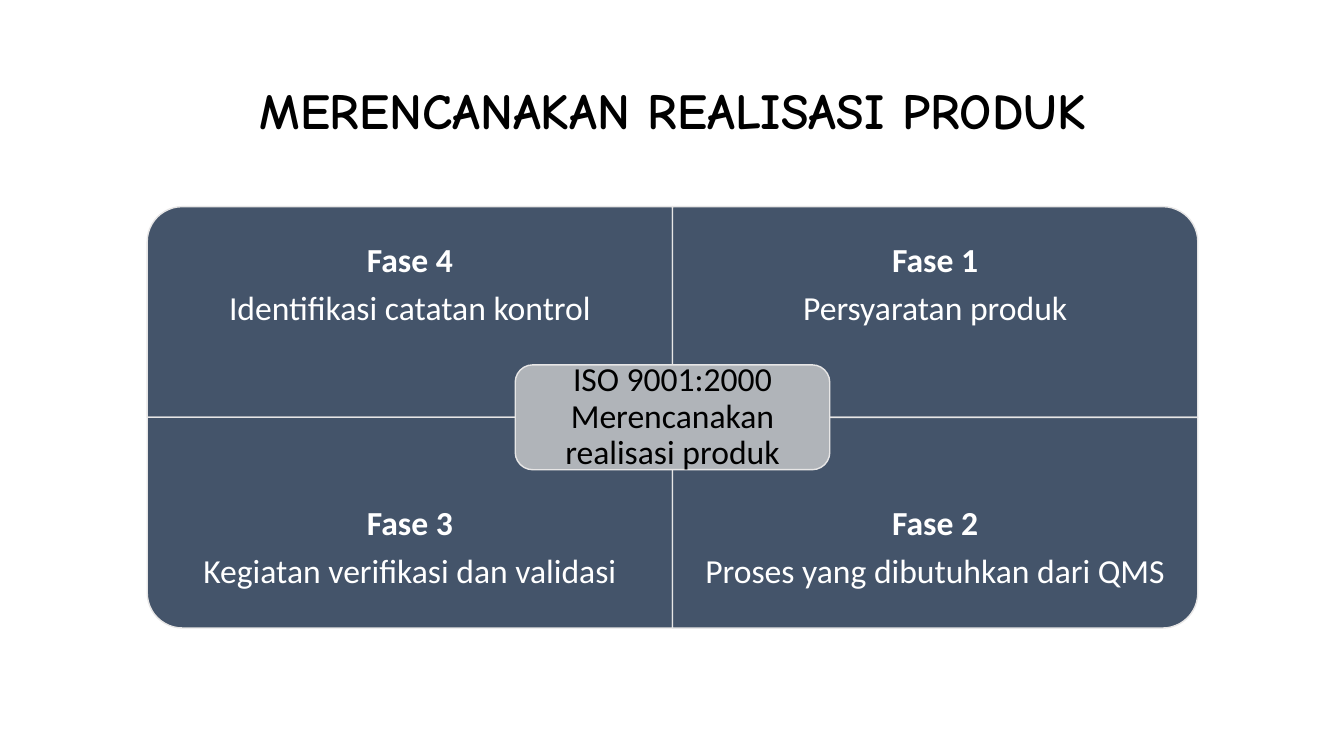
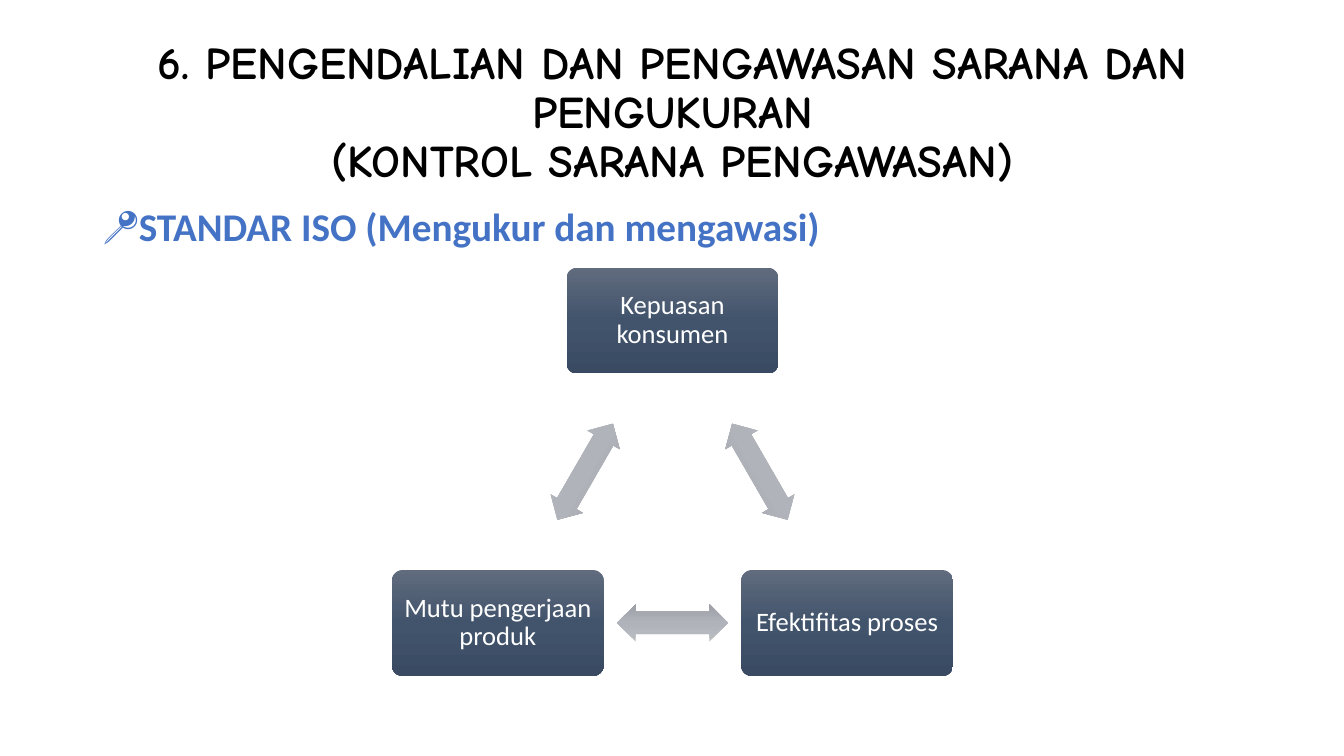
"""Build two slides on planning and controlling product realisation under ISO."""
from copy import deepcopy
from math import cos, radians, sin

from lxml.etree import SubElement
from pptx import Presentation
from pptx.dml.color import RGBColor
from pptx.enum.shapes import MSO_SHAPE as Shape
from pptx.enum.text import MSO_ANCHOR as Anchor, MSO_AUTO_SIZE as AutoSize, PP_ALIGN as Align
from pptx.oxml.ns import qn
from pptx.util import Inches, Pt

PHASE_TITLE = ["MERENCANAKAN REALISASI PRODUK"]
PHASES = [
    ("Fase 4", "Identifikasi catatan kontrol", 0, 0, 270),
    ("Fase 1", "Persyaratan produk", 1, 0, 0),
    ("Fase 3", "Kegiatan verifikasi dan validasi", 0, 1, 180),
    ("Fase 2", "Proses yang dibutuhkan dari QMS", 1, 1, 90),
]
PHASE_CENTER = "ISO 9001:2000 Merencanakan realisasi produk"
CONTROL_TITLE = [
    "6. PENGENDALIAN DAN PENGAWASAN SARANA DAN PENGUKURAN",
    "(KONTROL SARANA PENGAWASAN)",
]
CONTROL_BULLET = "STANDAR ISO (Mengukur dan mengawasi)"
CONTROL_NODES = ["Kepuasan konsumen", "Efektifitas proses", "Mutu pengerjaan produk"]

NAVY, GREY, PALE = "44546A", "B0B4B9", "E7E6E6"
BLACK, WHITE, BLUE = "000000", "FFFFFF", "4472C4"
NODE_GRADIENT = ["606B7D", "42546C", "394A62"]
ARROW_GRADIENT = ["BABDC2", "B0B3BA", "9C9FA6"]
TITLE_FONT, BODY_FONT = "Comic Neue", "Calibri"
MIDDLE_X = 6.67


def color(value):
    return RGBColor.from_string(value)


def place(shape, left, top, width, height):
    box = {"left": left, "top": top, "width": width, "height": height}
    for name, value in box.items():
        setattr(shape, name, Inches(value))


def write(shape, lines, size, ink, bold=(), font=BODY_FONT, inset=None,
          align=Align.CENTER, anchor=Anchor.MIDDLE, before=0, after=0):
    frame = shape.text_frame
    frame_format = {"word_wrap": True, "auto_size": AutoSize.NONE, "vertical_anchor": anchor}
    if inset is not None:
        for side in ("left", "right", "top", "bottom"):
            frame_format[f"margin_{side}"] = Inches(inset)
    for name, value in frame_format.items():
        setattr(frame, name, value)
    frame.text = "\n".join(lines)
    paragraph_format = {"alignment": align, "line_spacing": 0.9,
                        "space_before": Pt(before), "space_after": Pt(after)}
    for index, paragraph in enumerate(frame.paragraphs):
        for name, value in paragraph_format.items():
            setattr(paragraph, name, value)
        run_font = paragraph.runs[0].font
        font_format = {"name": font, "size": Pt(size), "bold": index in bold}
        for name, value in font_format.items():
            setattr(run_font, name, value)
        run_font.color.rgb = color(ink)


def add_centered(slide, kind, center, size, fill, line=None, rotation=0, adjustments=()):
    (x, y), (width, height) = center, size
    box = (x - width / 2, y - height / 2, width, height)
    shape = slide.shapes.add_shape(kind, *map(Inches, box))
    shape.shadow.inherit = False
    shape.rotation = rotation
    for index, value in enumerate(adjustments):
        shape.adjustments[index] = value
    if isinstance(fill, str):
        shape.fill.solid()
        shape.fill.fore_color.rgb = color(fill)
    else:
        paint_gradient(shape, fill)
    if line:
        shape.line.color.rgb = color(line)
        shape.line.width = Pt(1)
    else:
        shape.line.fill.background()
    return shape


def paint_gradient(shape, stops):
    shape.fill.gradient()
    shape.fill.gradient_angle = 270
    stop_list = next(shape._element.spPr.iter(qn("a:gsLst")))
    stop_list.append(deepcopy(stop_list[0]))
    for index, (stop, value) in enumerate(zip(shape.fill.gradient_stops, stops)):
        stop.position = index / (len(stops) - 1)
        stop.color.rgb = color(value)


def add_titled_slide(presentation, layout, lines, size):
    slide = presentation.slides.add_slide(presentation.slide_layouts[layout])
    title = slide.shapes.title
    place(title, 0.92, 0.4, 11.5, 1.45)
    write(title, lines, size, BLACK, bold=range(len(lines)), font=TITLE_FONT)
    return slide


def build_phases(presentation):
    slide = add_titled_slide(presentation, 5, PHASE_TITLE, 36)
    width, height, top = 5.21, 2.09, 2.05
    left = MIDDLE_X - width
    for name, detail, column, row, rotation in PHASES:
        center = (left + (column + 0.5) * width, top + (row + 0.5) * height)
        size = (height, width) if rotation % 180 else (width, height)
        add_centered(slide, Shape.ROUND_1_RECTANGLE, center, size, NAVY, PALE, rotation)
        label_top = top + row * height * 1.25
        label_box = (left + column * width, label_top, width, height * 0.75)
        label = slide.shapes.add_textbox(*map(Inches, label_box))
        write(label, [name, detail], 24, WHITE, bold=[0], inset=0.19, after=8.4)
    hub = add_centered(slide, Shape.ROUNDED_RECTANGLE, (MIDDLE_X, top + height),
                       (3.12, 1.04), GREY, PALE)
    write(hub, [PHASE_CENTER], 24, BLACK, inset=0.1, after=8.4)


def build_control(presentation):
    slide = add_titled_slide(presentation, 1, CONTROL_TITLE, 32.4)
    body = slide.placeholders[1]
    place(body, 0.92, 2.01, 11.5, 1.2)
    write(body, [CONTROL_BULLET], 28, BLUE, bold=[0], align=Align.LEFT,
          anchor=Anchor.TOP, before=10)
    properties = body.text_frame.paragraphs[0]._p.get_or_add_pPr()
    properties.set("marL", str(Inches(0.25)))
    properties.set("indent", str(Inches(-0.25)))
    SubElement(properties, qn("a:buChar")).set("char", "📍")

    def on_circle(radius, angle):
        turn = radians(angle)
        return MIDDLE_X + radius * cos(turn), 5.18 + radius * sin(turn)

    for index, text in enumerate(CONTROL_NODES):
        turn = 120 * index
        node = add_centered(slide, Shape.ROUNDED_RECTANGLE, on_circle(2, turn - 90),
                            (2.1, 1.05), NODE_GRADIENT, adjustments=[0.1])
        write(node, [text], 19, WHITE, inset=0.08, after=6.65)
        add_centered(slide, Shape.LEFT_RIGHT_ARROW, on_circle(1, turn - 30), (1.1, 0.37),
                     ARROW_GRADIENT, rotation=turn + 60, adjustments=[0.6, 0.5])


def main():
    presentation = Presentation()
    presentation.slide_width = Inches(13.33)
    presentation.slide_height = Inches(7.5)
    build_phases(presentation)
    build_control(presentation)
    presentation.save("out.pptx")


if __name__ == "__main__":
    main()
